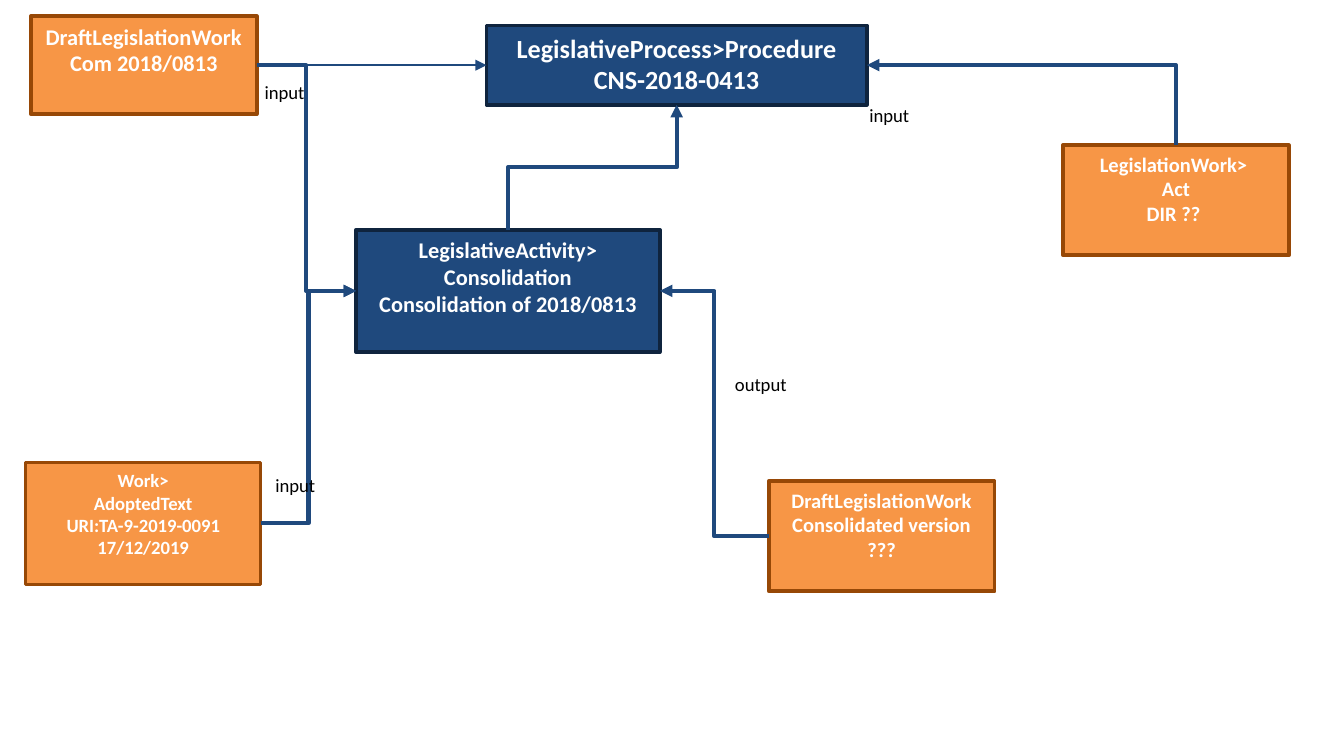
from lxml import etree
from pptx import Presentation
from pptx.dml.color import RGBColor
from pptx.enum.shapes import MSO_CONNECTOR, MSO_SHAPE
from pptx.enum.text import MSO_ANCHOR, PP_ALIGN
from pptx.oxml.ns import qn
from pptx.util import Inches, Pt

ELBOW, RECT = MSO_CONNECTOR.ELBOW, MSO_SHAPE.RECTANGLE
CENTER, LEFT_ALIGN, ANCHOR_TOP = PP_ALIGN.CENTER, PP_ALIGN.LEFT, MSO_ANCHOR.TOP
ORANGE, BROWN = RGBColor(0xF7, 0x96, 0x46), RGBColor(0x97, 0x48, 0x06)
BLUE, NAVY = RGBColor(0x1F, 0x49, 0x7D), RGBColor(0x0F, 0x24, 0x3E)
WHITE, BLACK = RGBColor(0xFF, 0xFF, 0xFF), RGBColor(0, 0, 0)
FONT = "Calibri"
TOP, LEFT, BOTTOM, RIGHT = range(4)
WORK, PROCESS = (ORANGE, BROWN), (BLUE, NAVY)

BOXES = {
    "draft": ((0.23, 0.12, 1.68, 0.73), WORK, 2, 12,
              ["DraftLegislationWork", "Com 2018/0813"]),
    "procedure": ((3.62, 0.19, 2.83, 0.59), PROCESS, 2, 14,
                  ["LegislativeProcess>Procedure", "CNS-2018-0413"]),
    "activity": ((2.65, 1.71, 2.26, 0.91), PROCESS, 2, 12,
                 ["LegislativeActivity>", "Consolidation", "Consolidation of 2018/0813"]),
    "consolidated": ((5.72, 3.58, 1.68, 0.82), WORK, 2, 11,
                     ["DraftLegislationWork", "Consolidated version", "???"]),
    "adopted": ((0.19, 3.44, 1.75, 0.91), WORK, 1.5, 10,
                ["Work>", "AdoptedText", "URI:TA-9-2019-0091", "17/12/2019"]),
    "act": ((7.91, 1.08, 1.68, 0.82), WORK, 2, 11,
            ["LegislationWork> ", "Act", "DIR ?? "]),
}
ARROWS = [
    ("activity", TOP, "procedure", BOTTOM, 2.25),
    ("draft", RIGHT, "procedure", LEFT, 0.75),
    ("consolidated", LEFT, "activity", RIGHT, 2.25),
    ("adopted", RIGHT, "activity", LEFT, 2.25),
    ("draft", RIGHT, "activity", LEFT, 2.25),
    ("act", TOP, "procedure", RIGHT, 2.25),
]
LABELS = [("input", 1.95, 3.44), ("output", 5.37, 2.69),
          ("input", 1.87, 0.52), ("input", 6.37, 0.69)]


def write(tf, lines, size, color, align, bold):
    tf.word_wrap = True
    tf.vertical_anchor = ANCHOR_TOP
    for i, line in enumerate(lines):
        p = tf.add_paragraph() if i else tf.paragraphs[0]
        p.text = line
        p.alignment = align
        p.font.name, p.font.size, p.font.bold = FONT, Pt(size), bold
        p.font.color.rgb = color


def turn_upward(c):
    dx, rise = c.end_x - c.begin_x, c.begin_y - c.end_y
    cx, cy = (c.begin_x + c.end_x) // 2, (c.begin_y + c.end_y) // 2
    c.left, c.top = cx - rise // 2, cy - abs(dx) // 2
    c.width, c.height = rise, abs(dx)
    xfrm = c._element.spPr.find(qn("a:xfrm"))
    xfrm.set("rot", str(270 * 60000))
    xfrm.set("flipH", "0")
    xfrm.set("flipV", "1" if dx < 0 else "0")


prs = Presentation()
prs.slide_width, prs.slide_height = Inches(10), Inches(10 * 9 / 16)
s = prs.slides.add_slide(prs.slide_layouts[6])

shapes = {}
for name, (place, (fill, edge), weight, size, lines) in BOXES.items():
    sp = s.shapes.add_shape(RECT, *map(Inches, place))
    sp.shadow.inherit = False
    sp.fill.solid()
    sp.fill.fore_color.rgb = fill
    sp.line.color.rgb = edge
    sp.line.width = Pt(weight)
    write(sp.text_frame, lines, size, WHITE, CENTER, True)
    shapes[name] = sp

for start, start_site, end, end_site, weight in ARROWS:
    c = s.shapes.add_connector(ELBOW, 0, 0, 0, 0)
    c.begin_connect(shapes[start], start_site)
    c.end_connect(shapes[end], end_site)
    c.line.color.rgb = BLUE
    c.line.width = Pt(weight)
    spPr = c._element.spPr
    etree.SubElement(spPr.find(qn("a:ln")), qn("a:tailEnd"), type="triangle")
    etree.SubElement(spPr, qn("a:effectLst"))
    if start_site == TOP:
        turn_upward(c)
        if end_site == RIGHT:
            spPr.find(qn("a:prstGeom")).set("prst", "bentConnector2")

for text, x, y in LABELS:
    tf = s.shapes.add_textbox(*map(Inches, (x, y, 0.68, 0.37))).text_frame
    tf.margin_left = tf.margin_right = tf.margin_top = tf.margin_bottom = Inches(0.1)
    write(tf, [text], 10, BLACK, LEFT_ALIGN, False)

prs.save("out.pptx")
